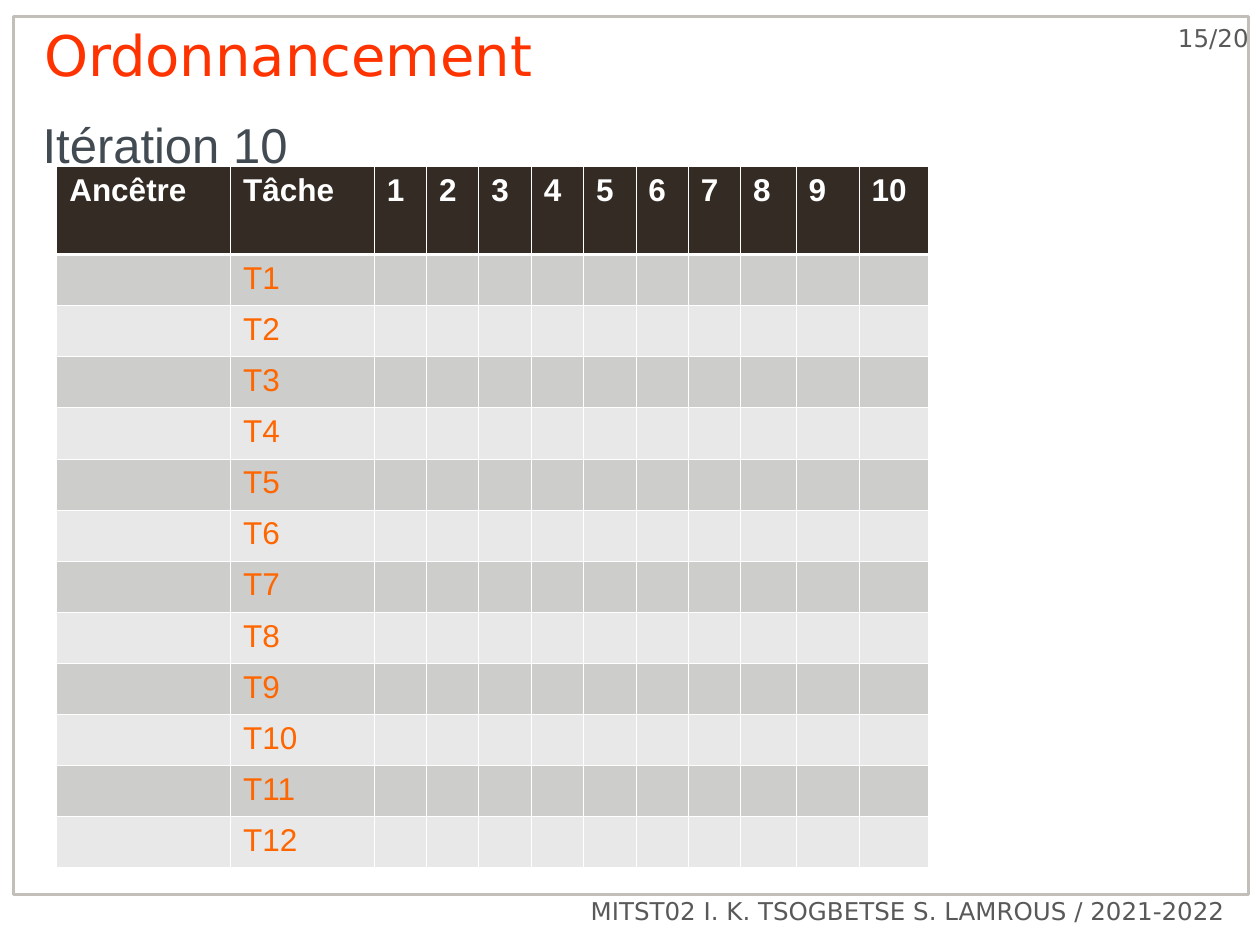
from lxml.etree import SubElement
from pptx import Presentation
from pptx.dml.color import RGBColor
from pptx.enum.shapes import MSO_SHAPE
from pptx.enum.text import MSO_ANCHOR, PP_ALIGN
from pptx.oxml.ns import qn
from pptx.util import Inches, Pt

COLORS = {
    "frame": "C2BFB8",
    "grey": "595959",
    "title": "FF3300",
    "subtitle": "424A52",
    "header": "332B24",
    "band_dark": "CDCDCC",
    "band_light": "E8E8E8",
    "task": "FF6600",
    "white": "FFFFFF",
}
TASK_COUNT = 12
STEP_COUNT = 10
THIN, THICK = 0.45, 1.47


def color(name):
    return RGBColor.from_string(COLORS[name])


def style_font(font, name, size, tint, bold=False):
    font.name = name
    font.size = Pt(size)
    font.bold = bold
    font.color.rgb = color(tint)


def add_frame(page):
    frame = page.shapes.add_shape(
        MSO_SHAPE.RECTANGLE, Inches(0.11), Inches(0.13), Inches(9.8), Inches(6.97))
    frame.shadow.inherit = False
    frame.fill.background()
    frame.line.color.rgb = color("frame")
    frame.line.width = Pt(1.5)


def add_text(page, text, place, font, size, tint, align=PP_ALIGN.LEFT,
             anchor=MSO_ANCHOR.TOP, left=0.1, top=0.05, right=0.1, spacing=None):
    box = page.shapes.add_textbox(*(Inches(value) for value in place))
    frame = box.text_frame
    frame.word_wrap = True
    frame.vertical_anchor = anchor
    frame.margin_left, frame.margin_right = Inches(left), Inches(right)
    frame.margin_top = Inches(top)
    frame.text = text
    para = frame.paragraphs[0]
    para.alignment = align
    if spacing:
        para.line_spacing = Pt(spacing)
    style_font(para.runs[0].font, font, size, tint)


def set_borders(cell, top, bottom):
    properties = cell._tc.get_or_add_tcPr()
    for side, width in (("L", THIN), ("R", THIN), ("T", top), ("B", bottom)):
        line = SubElement(properties, qn(f"a:ln{side}"), w=str(int(Pt(width))))
        fill = SubElement(line, qn("a:solidFill"))
        SubElement(fill, qn("a:srgbClr"), val=COLORS["white"])


def add_schedule(page):
    steps = [str(step) for step in range(1, STEP_COUNT + 1)]
    rows = [["Ancêtre", "Tâche"] + steps]
    rows += [["", f"T{task}"] + [""] * STEP_COUNT for task in range(1, TASK_COUNT + 1)]
    widths = [Inches(1.38), Inches(1.14)] + [Inches(2.91) // 7] * 7
    widths += [Inches(0.44), Inches(0.5), Inches(0.55)]
    heights = [Inches(0.7)] + [Inches(4.87) // TASK_COUNT] * TASK_COUNT

    table = page.shapes.add_table(
        len(rows), len(widths), Inches(0.45), Inches(1.32),
        sum(widths), sum(heights)).table
    for column, width in zip(table.columns, widths):
        column.width = width
    for row, height in zip(table.rows, heights):
        row.height = height

    for index, texts in enumerate(rows):
        is_header = index == 0
        band = "header" if is_header else ("band_light", "band_dark")[index % 2]
        top = THICK if index == 1 else THIN
        bottom = THICK if is_header else THIN
        for cell, text in zip(table.rows[index].cells, texts):
            set_borders(cell, top, bottom)
            cell.fill.solid()
            cell.fill.fore_color.rgb = color(band)
            if text:
                cell.text_frame.text = text
                style_font(cell.text_frame.paragraphs[0].runs[0].font, "Arial", 18,
                           "white" if is_header else "task", is_header)


def main():
    deck = Presentation()
    deck.slide_width, deck.slide_height = Inches(10), Inches(7.5)
    page = deck.slides.add_slide(deck.slide_layouts[6])
    add_frame(page)
    add_text(page, "15/20", (8.79, 0.13, 1.12, 0.6), "DejaVu Sans", 14, "grey",
             align=PP_ALIGN.RIGHT, right=0)
    add_text(page, "MITST02 I. K. TSOGBETSE S. LAMROUS / 2021-2022",
             (2.9, 7.06, 6.92, 0.65), "DejaVu Sans", 14, "grey", align=PP_ALIGN.RIGHT)
    add_text(page, "Ordonnancement", (0.35, 0.25, 8.14, 0.58), "DejaVu Sans", 32,
             "title", left=0, top=0, spacing=32)
    add_text(page, "Itération 10", (0.24, 0.83, 9.52, 0.62), "Arial", 28, "subtitle",
             anchor=MSO_ANCHOR.MIDDLE)
    add_schedule(page)
    deck.save("out.pptx")


if __name__ == "__main__":
    main()
